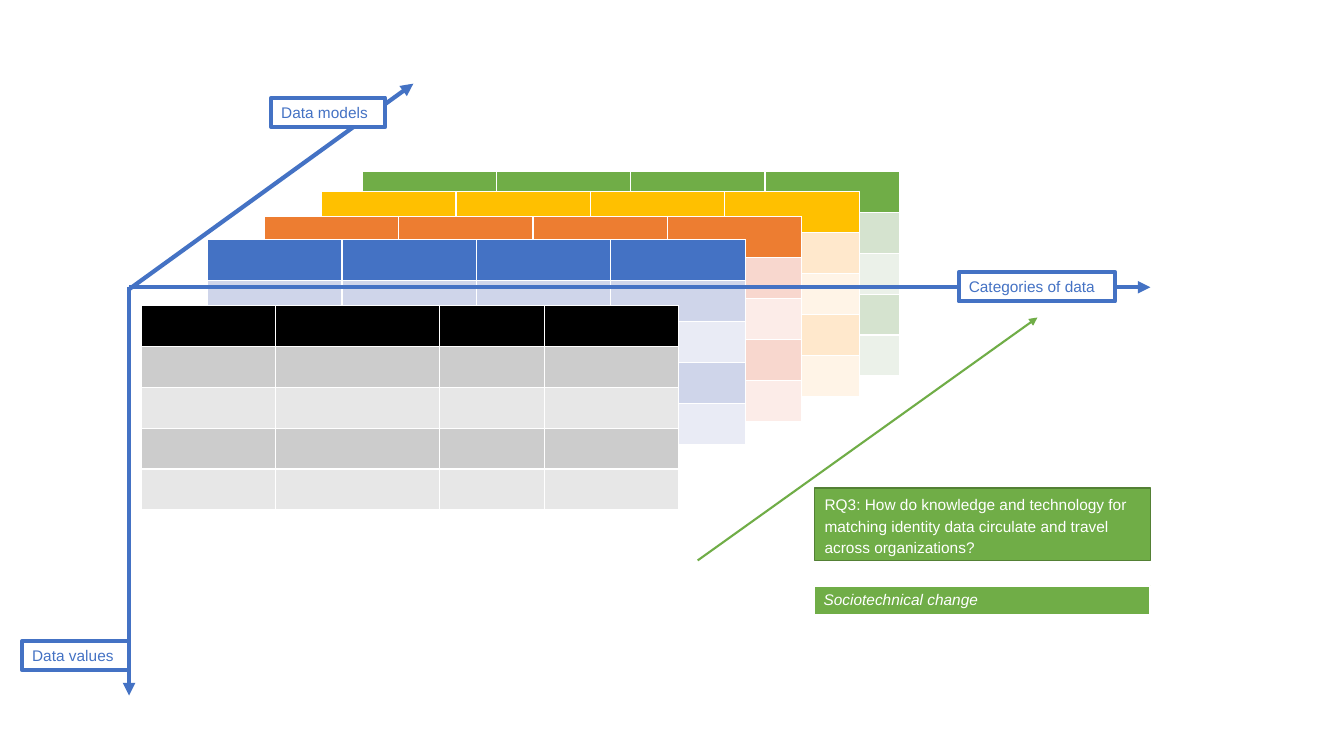
from lxml import etree
from pptx import Presentation
from pptx.dml.color import RGBColor
from pptx.enum.shapes import MSO_CONNECTOR
from pptx.enum.text import MSO_ANCHOR, MSO_AUTO_SIZE, PP_ALIGN
from pptx.oxml.ns import qn
from pptx.util import Inches, Pt

HUE = {
    "white": "FFFFFF", "blue": "4472C4", "green": "70AD47", "moss": "538035",
    "gold": "FFC000", "rust": "ED7D31", "black": "000000",
}
# Dark and light row bands under each header colour
BANDS = {
    "green": ("D5E3CF", "EBF1E9"), "gold": ("FFE8CC", "FFF4E7"),
    "rust": ("F8D7CE", "FCECE8"), "blue": ("CFD5EA", "E9EBF5"),
    "black": ("CCCCCC", "E7E7E7"),
}


def arrow(start, end, hue, width):
    line = slide.shapes.add_connector(
        MSO_CONNECTOR.STRAIGHT, *[Inches(v) for v in start + end])
    line.line.color.rgb = RGBColor.from_string(HUE[hue])
    line.line.width = Pt(width)
    tail = etree.SubElement(line.line._get_or_add_ln(), qn("a:tailEnd"))
    tail.set("type", "triangle")
    etree.SubElement(line._element.spPr, qn("a:effectLst"))


def label(text, place, fill, edge, width, ink, wrap):
    box = slide.shapes.add_textbox(*[Inches(v) for v in place])
    box.fill.solid()
    box.fill.fore_color.rgb = RGBColor.from_string(HUE[fill])
    box.line.color.rgb = RGBColor.from_string(HUE[edge])
    box.line.width = Pt(width)
    frame = box.text_frame
    frame.word_wrap = wrap
    frame.auto_size = MSO_AUTO_SIZE.SHAPE_TO_FIT_TEXT
    frame.vertical_anchor = MSO_ANCHOR.TOP
    par = frame.paragraphs[0]
    par.alignment = PP_ALIGN.LEFT
    run = par.add_run()
    run.text = text
    run.font.name = "Arial"
    run.font.size = Pt(11)
    run.font.color.rgb = RGBColor.from_string(HUE[ink])
    return par, run


deck = Presentation()
deck.slide_width, deck.slide_height = Inches(13.33), Inches(7.5)
slide = deck.slides.add_slide(deck.slide_layouts[6])

# Axis of data values, behind the tables
arrow((1.28, 2.85), (1.28, 6.9), "blue", 3)

# Stacked tables, from back to front
even = (1.333, 1.333, 1.333, 1.333)
stack = [
    ("green", 3.59, 1.7, even),
    ("gold", 3.19, 1.9, even),
    ("rust", 2.62, 2.15, even),
    ("blue", 2.06, 2.38, even),
    ("black", 1.4, 3.03, (1.33, 1.63, 1.04, 1.33)),
]
for hue, left, top, cols in stack:
    grid = slide.shapes.add_table(
        5, 4, Inches(left), Inches(top), Inches(5.33), Inches(2.03)).table
    for col, width in zip(grid.columns, cols):
        col.width = Inches(width)
    for i, row in enumerate(grid.rows):
        row.height = Inches(2.03 / 5)
        tone = BANDS[hue][(i - 1) % 2] if i else HUE[hue]
        for cell in row.cells:
            cell.fill.solid()
            cell.fill.fore_color.rgb = RGBColor.from_string(tone)

# Remaining axes and the arrow of change
arrow((1.28, 2.87), (4.1, 0.83), "blue", 3)
arrow((1.28, 2.85), (11.41, 2.85), "blue", 3)
arrow((6.92, 5.56), (10.29, 3.15), "green", 1.5)

# Research question and its theme
par, run = label("Sociotechnical change", (8.07, 5.81, 3.34, 0.29),
                 "green", "white", 1.5, "white", True)
run.font.italic = True
par, run = label(
    "RQ3: How do knowledge and technology for matching identity data "
    "circulate and travel across organizations?",
    (8.08, 4.84, 3.33, 0.72), "green", "moss", 1, "white", True)
par.line_spacing = 1.15
par.space_before = par.space_after = Pt(10)

# Axis labels
for text, place in [
    ("Data models", (2.69, 0.97, 1.13, 0.29)),
    ("Data values", (0.22, 6.36, 1.06, 0.29)),
    ("Categories of data", (9.51, 2.7, 1.55, 0.29)),
]:
    label(text, place, "white", "blue", 3, "blue", False)

deck.save("out.pptx")
